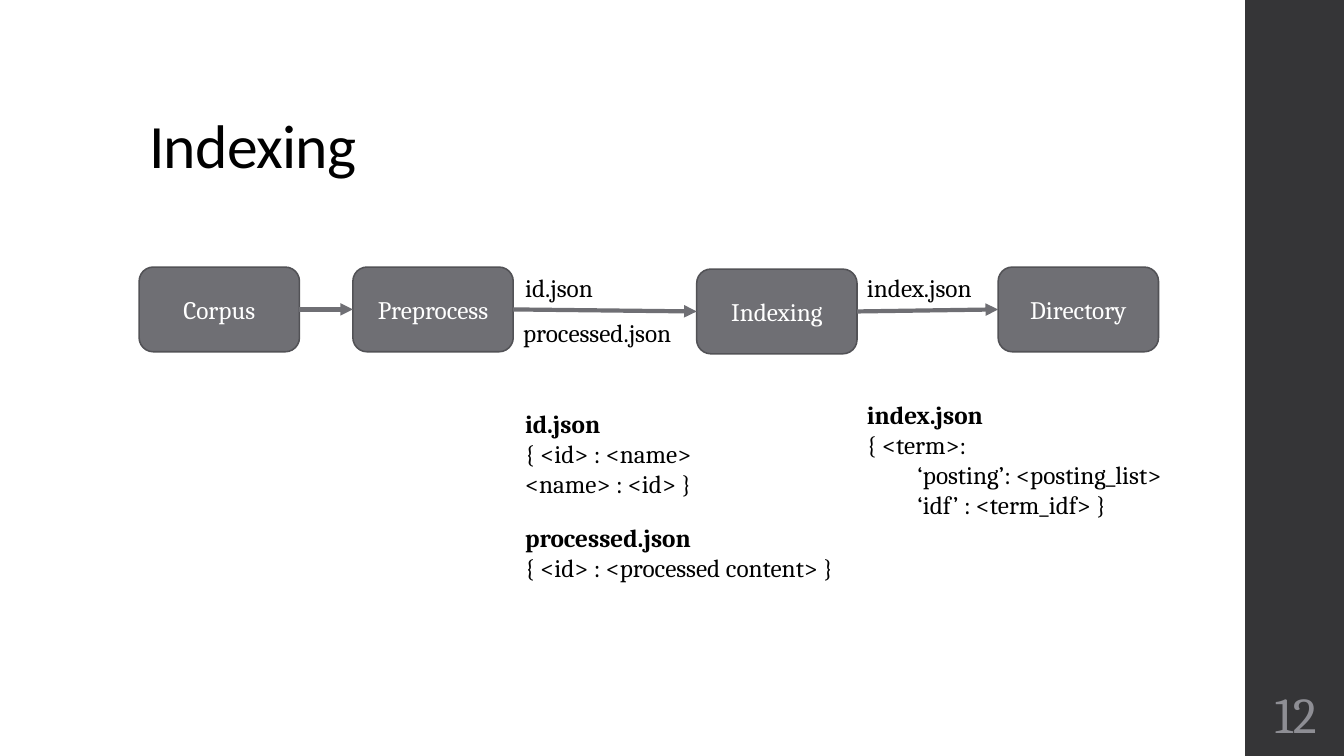
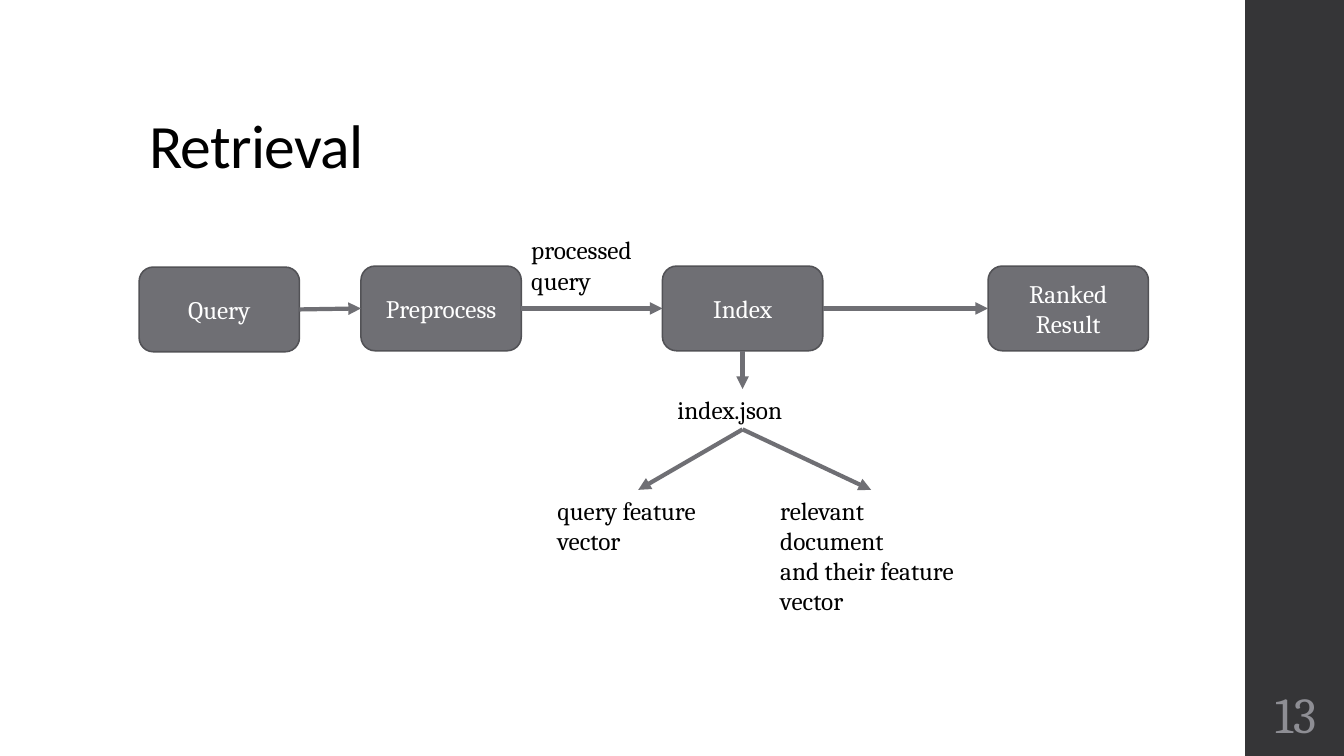
import pptx
import pptx.util
import pptx.dml.color
import pptx.enum.shapes
import pptx.enum.text
import pptx.oxml
import pptx.oxml.ns

Inches = pptx.util.Inches
Pt = pptx.util.Pt
ALIGN = pptx.enum.text.PP_ALIGN
ANCHOR = pptx.enum.text.MSO_ANCHOR
FIT = pptx.enum.text.MSO_AUTO_SIZE
SHAPE = pptx.enum.shapes.MSO_SHAPE

SLIDE_W, SLIDE_H = 13.33, 7.5
BAND_X = 12.35
NODE_W, NODE_H = 1.59, 0.84
FLOW_X, FLOW_Y = 1.38, 2.65
TOP, LEFT, BOTTOM, RIGHT = range(4)
COLORS = {"band": "353537", "node": "6F6F74", "edge": "525256",
          "page": "8E8E94", "text": "000000", "light": "FFFFFF"}
BODY = {"name": "Cambria", "size": Pt(18)}
TITLE = {"name": "Calibri", "size": Pt(44)}
PAGE = {"name": "Cambria", "size": Pt(36)}


def rgb(name):
    return pptx.dml.color.RGBColor.from_string(COLORS[name])


def apply(obj, values):
    for key, value in values.items():
        setattr(obj, key, value)


def write(sp, lines, font, color="text", para=None, frame=None, heading=False):
    tf = sp.text_frame
    apply(tf, {"word_wrap": True, **(frame or {})})
    for i, line in enumerate(lines):
        p = tf.paragraphs[0] if i == 0 else tf.add_paragraph()
        apply(p, para or {})
        r = p.add_run()
        r.text = line
        apply(r.font, {**font, "bold": heading and i == 0})
        r.font.color.rgb = rgb(color)
    return sp


def add_box(s, kind, x, y, w, h, fill, line=None):
    sp = s.shapes.add_shape(kind, Inches(x), Inches(y), Inches(w), Inches(h))
    sp.shadow.inherit = False
    sp.fill.solid()
    sp.fill.fore_color.rgb = rgb(fill)
    if line:
        sp.line.color.rgb = rgb(line)
        sp.line.width = Pt(1.1)
    else:
        sp.line.fill.background()
    return sp


def add_text(s, x, y, w, h):
    return s.shapes.add_textbox(Inches(x), Inches(y), Inches(w), Inches(h))


def add_note(s, x, y, w, h, *lines, heading=False):
    return write(add_text(s, x, y, w, h), lines, BODY, heading=heading,
                 frame={"auto_size": FIT.SHAPE_TO_FIT_TEXT})


def add_node(s, x, y, *lines):
    sp = add_box(s, SHAPE.ROUNDED_RECTANGLE, x, y, NODE_W, NODE_H, "node", "edge")
    return write(sp, lines, BODY, "light", {"alignment": ALIGN.CENTER},
                 {"vertical_anchor": ANCHOR.MIDDLE})


def add_arrow(s, start, end, start_site=RIGHT, end_site=LEFT):
    cn = s.shapes.add_connector(pptx.enum.shapes.MSO_CONNECTOR.STRAIGHT, 0, 0, 0, 0)
    cn.begin_connect(start, start_site)
    cn.end_connect(end, end_site)
    cn.line.color.rgb = rgb("node")
    cn.line.width = Pt(3)
    ns = pptx.oxml.ns.nsdecls("a")
    cn.line._get_or_add_ln().append(
        pptx.oxml.parse_xml(f'<a:tailEnd {ns} type="triangle"/>'))
    cn._element.spPr.append(pptx.oxml.parse_xml(f"<a:effectLst {ns}/>"))


def add_flow(s, x, y, steps):
    nodes = [add_node(s, x + dx, y + dy, *lines) for dx, dy, lines in steps]
    for start, end in zip(nodes, nodes[1:]):
        add_arrow(s, start, end)
    return nodes


def new_slide(prs, title, number):
    s = prs.slides.add_slide(prs.slide_layouts[6])
    add_box(s, SHAPE.RECTANGLE, BAND_X, 0, SLIDE_W - BAND_X, SLIDE_H, "band")
    sp = write(add_text(s, FLOW_X, 0.4, 10.6, 1.45), [title], TITLE,
               para={"line_spacing": 0.9}, frame={"vertical_anchor": ANCHOR.BOTTOM})
    sp.text_frame.paragraphs[0].runs[0].font._element.set("spc", "-50")
    margins = {f"margin_{side}": Inches(0.05) for side in ("left", "right", "top", "bottom")}
    write(add_text(s, BAND_X, 6.75, 1, 0.65), [str(number)], PAGE, "page",
          {"alignment": ALIGN.CENTER}, {"vertical_anchor": ANCHOR.MIDDLE, **margins})
    return s


def add_file_formats(s, x, y):
    add_note(s, x, y + 0.09, 2.5, 1.01, "id.json", "{ <id> : <name>",
             "<name> : <id> }", heading=True)
    add_note(s, x, y + 1.22, 3.72, 0.71, "processed.json",
             "{ <id> : <processed content> }", heading=True)
    sp = add_note(s, x + 3.39, y, 3.72, 1.31, "index.json", "{ <term>:",
                  "‘posting’: <posting_list>", "‘idf’ : <term_idf> }", heading=True)
    for p in sp.text_frame.paragraphs[2:]:
        p._p.get_or_add_pPr().set("marL", str(Inches(0.5)))


def add_index_tree(s, index, x, y):
    root = add_note(s, x + 1.19, y, 1.49, 0.4, "index.json")
    query = add_note(s, x, y + 1, 1.8, 0.71, "query feature vector")
    docs = add_note(s, x + 2.21, y + 1, 2, 1.31, "relevant", "document",
                    "and their feature vector")
    add_arrow(s, index, root, BOTTOM, TOP)
    for leaf in (query, docs):
        add_arrow(s, root, leaf, BOTTOM, TOP)


def indexing_slide(prs):
    s = new_slide(prs, "Indexing", 12)
    add_flow(s, FLOW_X, FLOW_Y, [
        (0, 0, ["Corpus"]), (2.12, 0, ["Preprocess"]),
        (5.53, 0.02, ["Indexing"]), (8.52, 0, ["Directory"])])
    add_note(s, 5.11, FLOW_Y, 1.21, 0.4, "id.json")
    add_note(s, 5.09, FLOW_Y + 0.45, 1.93, 0.4, "processed.json")
    add_note(s, 8.5, FLOW_Y, 1.4, 0.4, "index.json")
    add_file_formats(s, 5.11, 3.91)


def retrieval_slide(prs):
    s = new_slide(prs, "Retrieval", 13)
    nodes = add_flow(s, FLOW_X, FLOW_Y, [
        (0, 0, ["Query"]), (2.2, -0.01, ["Preprocess"]),
        (5.19, -0.01, ["Index"]), (8.42, -0.01, ["Ranked", "Result"])])
    add_note(s, 5.17, 2.28, 1.49, 0.71, "processed query")
    add_index_tree(s, nodes[2], 5.43, 3.86)


def main():
    prs = pptx.Presentation()
    apply(prs, {"slide_width": Inches(SLIDE_W), "slide_height": Inches(SLIDE_H)})
    indexing_slide(prs)
    retrieval_slide(prs)
    prs.save("out.pptx")


if __name__ == "__main__":
    main()
